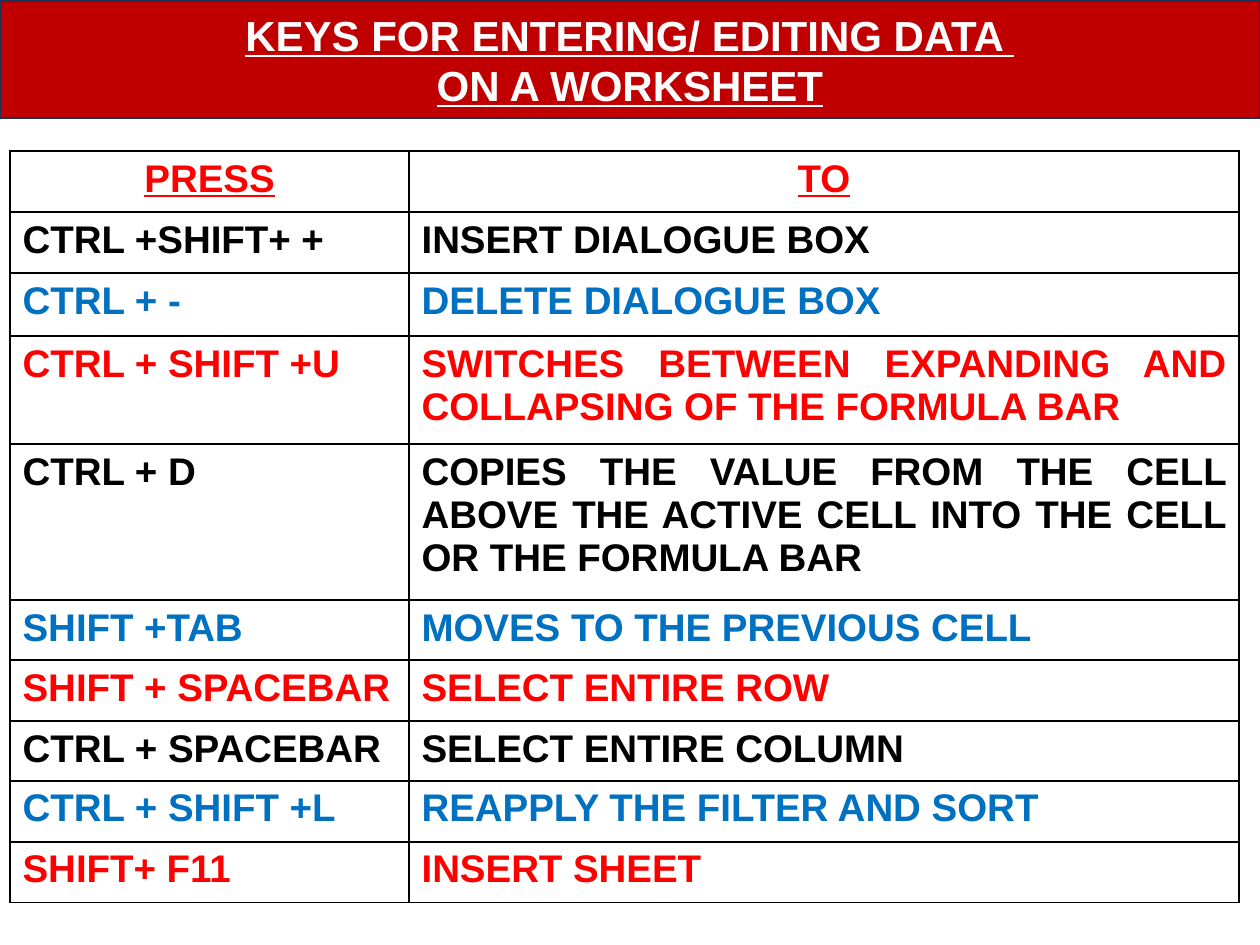
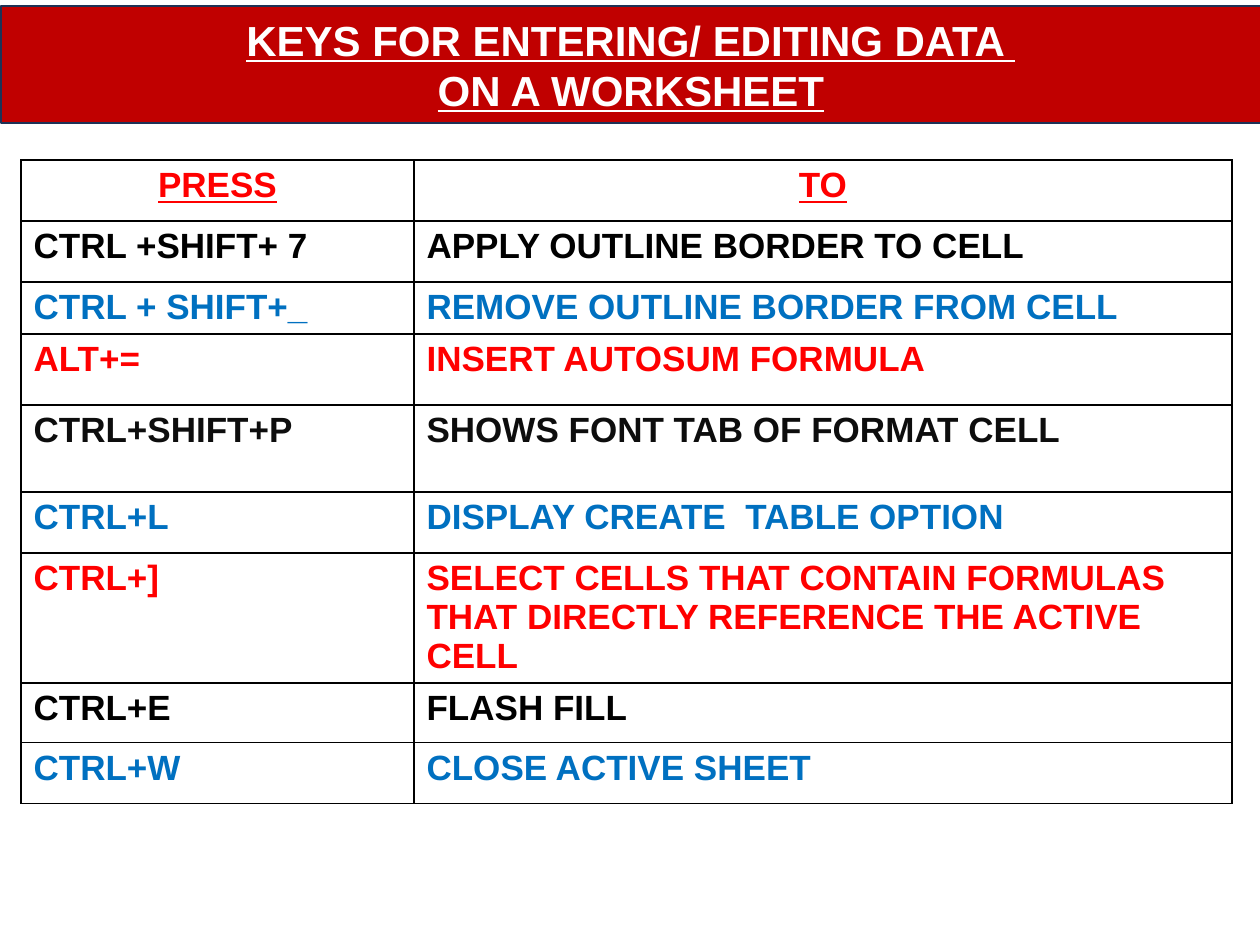
from itertools import cycle

from lxml.etree import SubElement as Sub
from pptx import Presentation
from pptx.dml.color import RGBColor as Rgb
from pptx.enum.shapes import MSO_SHAPE as Shape
from pptx.enum.text import MSO_ANCHOR as Anchor, PP_ALIGN as Align
from pptx.oxml.ns import qn
from pptx.util import Emu, Pt

SCALE = 914400 / 126
COLORS = {
    "band": "C00000",
    "edge": "1E3256",
    "white": "FFFFFF",
    "black": "000000",
    "ink": "0D0D0D",
    "blue": "0070C0",
    "red": "FF0000",
}
TITLE = "KEYS FOR ENTERING/ EDITING DATA \vON A WORKSHEET"
HEAD = ("PRESS", "TO")

INSERT = [
    ("CTRL +SHIFT+ +", "INSERT DIALOGUE BOX"),
    ("CTRL + -", "DELETE DIALOGUE BOX"),
    ("CTRL + SHIFT +U", "SWITCHES BETWEEN EXPANDING AND COLLAPSING OF THE FORMULA BAR"),
    ("CTRL + D", "COPIES THE VALUE FROM THE CELL ABOVE THE ACTIVE CELL INTO THE CELL OR THE FORMULA BAR"),
    ("SHIFT +TAB", "MOVES TO THE PREVIOUS CELL"),
    ("SHIFT + SPACEBAR", "SELECT ENTIRE ROW"),
    ("CTRL + SPACEBAR", "SELECT ENTIRE COLUMN"),
    ("CTRL + SHIFT +L", "REAPPLY THE FILTER AND SORT"),
    ("SHIFT+ F11", "INSERT SHEET"),
]
FORMAT = [
    ("CTRL +SHIFT+ 7", "APPLY OUTLINE BORDER TO CELL"),
    ("CTRL + SHIFT+_", "REMOVE OUTLINE BORDER FROM CELL"),
    ("ALT+=", "INSERT AUTOSUM FORMULA"),
    ("CTRL+SHIFT+P", "SHOWS FONT TAB OF FORMAT CELL"),
    ("CTRL+L", "DISPLAY CREATE  TABLE OPTION"),
    ("CTRL+]", "SELECT CELLS THAT CONTAIN FORMULAS THAT DIRECTLY REFERENCE THE ACTIVE CELL"),
    ("CTRL+E", "FLASH FILL"),
    ("CTRL+W", "CLOSE ACTIVE SHEET"),
]


def px(n):
    """Turn px into EMU."""
    return Emu(round(n * SCALE))


def tint(name):
    """Look up a colour by name."""
    return Rgb.from_string(COLORS[name])


def write(frame, text, size, color, align, under=False):
    """Put one bold paragraph into a text frame."""
    frame.text = text
    para = frame.paragraphs[0]
    para.alignment = align
    style = {"name": "Arial", "size": Pt(size), "bold": True, "underline": under}
    for run in para.runs:
        for key, value in style.items():
            setattr(run.font, key, value)
        run.font.color.rgb = tint(color)


def add_band(slide, left, top):
    """Draw the title band."""
    band = slide.shapes.add_shape(Shape.RECTANGLE, px(left), px(top), px(1260), px(117))
    band.shadow.inherit = False
    band.fill.solid()
    band.fill.fore_color.rgb = tint("band")
    band.line.color.rgb = tint("edge")
    band.line.width = Pt(1)
    band.text_frame.word_wrap = True
    band.text_frame.vertical_anchor = Anchor.MIDDLE
    write(band.text_frame, TITLE, 24, "white", Align.CENTER, True)


def rule_cell(cell):
    """Give a cell black borders and no fill."""
    props = cell._tc.get_or_add_tcPr()
    for side in ("lnL", "lnR", "lnT", "lnB"):
        line = Sub(props, qn(f"a:{side}"), w=str(Pt(1)))
        Sub(Sub(line, qn("a:solidFill")), qn("a:srgbClr"), val=COLORS["black"])
    cell.fill.background()


def add_keys(slide, spot, widths, heights, keys, tones, size, align):
    """Draw a table of keys, its rows coloured in turn."""
    left, top = spot
    table = slide.shapes.add_table(
        len(heights), 2, px(left), px(top), px(sum(widths)), px(sum(heights))
    ).table
    table.first_row = table.horz_banding = False
    for col, width in zip(table.columns, widths):
        col.width = px(width)
    for row, height in zip(table.rows, heights):
        row.height = px(height)
    looks = [("red", Align.CENTER, True)]
    looks += [(tone, align, False) for tone, _ in zip(cycle(tones), keys)]
    for row, texts, look in zip(table.rows, [HEAD, *keys], looks):
        for cell, text in zip(row.cells, texts):
            rule_cell(cell)
            write(cell.text_frame, text, size, *look)


def main():
    """Build both slides."""
    deck = Presentation()
    deck.slide_width, deck.slide_height = px(1260), px(945)
    blank = deck.slide_layouts[6]

    slide = deck.slides.add_slide(blank)
    add_keys(slide, (10, 151), (399, 830), (61, 61, 63, 108, 156, 60, 61, 60, 61, 61),
             INSERT, ("black", "blue", "red"), 22, Align.JUSTIFY)
    add_band(slide, 0, 1)

    slide = deck.slides.add_slide(blank)
    add_keys(slide, (21, 160), (393, 818), (61, 61, 52, 71, 87, 61, 130, 60, 61),
             FORMAT, ("black", "blue", "red", "ink", "blue", "red"), 20, Align.LEFT)
    add_band(slide, 1, 6)

    deck.save("out.pptx")


if __name__ == "__main__":
    main()
